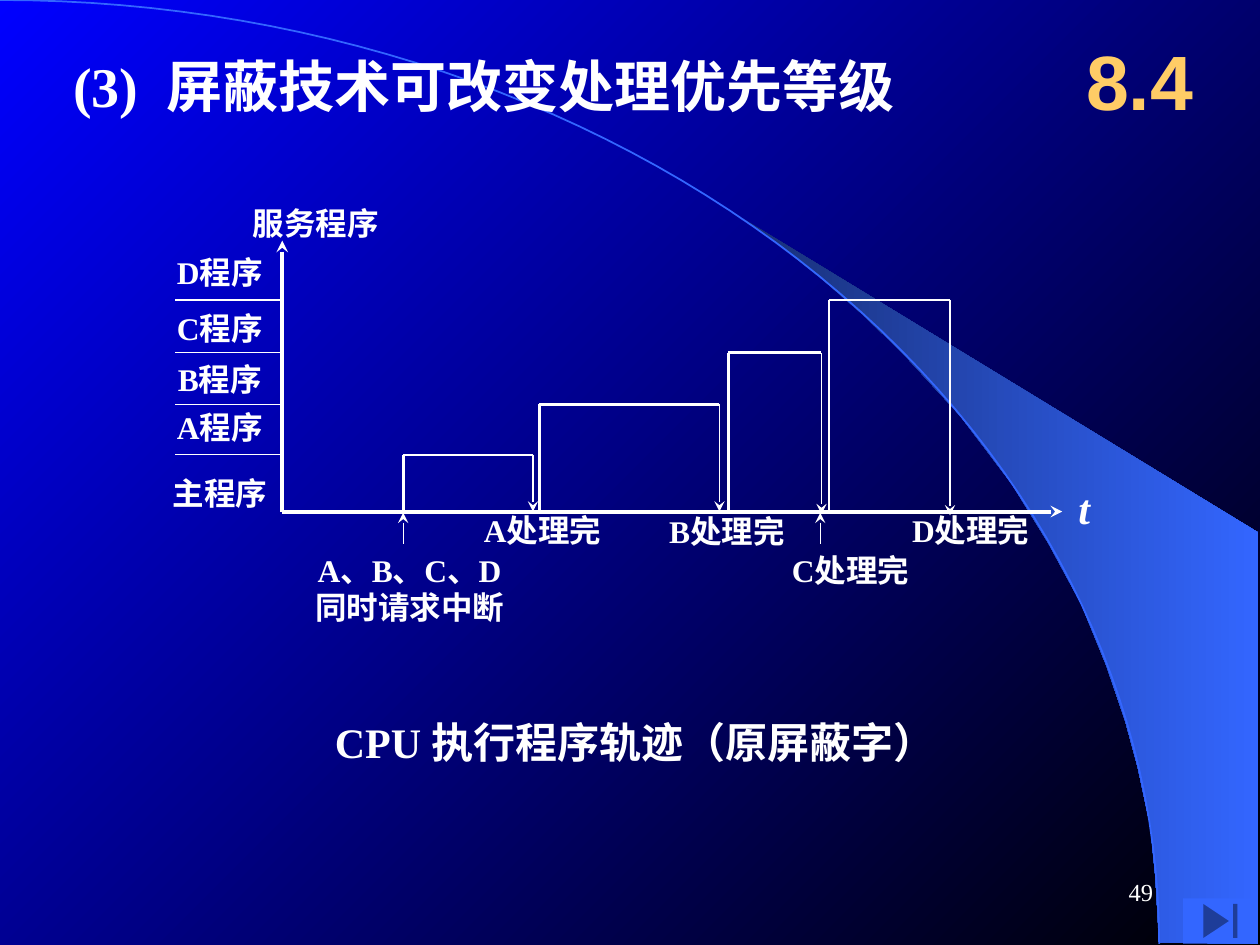
import math
from dataclasses import dataclass

from lxml import etree
from pptx import Presentation, util as u
from pptx.dml.color import RGBColor
from pptx.enum import shapes, text
from pptx.oxml import ns

WHITE = RGBColor(0xFF, 0xFF, 0xFF)
GOLD = RGBColor(0xFF, 0xCC, 0x66)
SKY = RGBColor(0x33, 0x66, 0xFF)
NAVY = RGBColor(0x18, 0x2F, 0x76)
BLUE = RGBColor(0x00, 0x00, 0xFF)
BLACK = RGBColor(0x00, 0x00, 0x00)

LEFT, MID, RIGHT = text.PP_ALIGN.LEFT, text.PP_ALIGN.CENTER, text.PP_ALIGN.RIGHT
TOP, CENTER = text.MSO_ANCHOR.TOP, text.MSO_ANCHOR.MIDDLE
BASE = 4.06   # height of the time axis
AXIS = 2.24   # place of the program axis
SERIF = "Times New Roman"


@dataclass
class Label:
    words: str
    x: float
    y: float
    w: float
    h: float
    size: int = 18
    align: text.PP_ALIGN = MID
    anchor: text.MSO_ANCHOR = TOP
    inset: bool = False
    wrap: bool = True
    face: str = SERIF
    color: RGBColor = WHITE
    bold: bool = True
    slant: bool = False


@dataclass
class Step:
    left: float
    right: float
    top: float
    end: float
    drop: float  # weight of the falling arrow


def add_label(slide, label: Label) -> None:
    box = slide.shapes.add_textbox(*map(u.Inches, (label.x, label.y, label.w, label.h)))
    frame = box.text_frame
    side, edge = (u.Inches(0.1), u.Inches(0.05)) if label.inset else (0, 0)
    form = {"word_wrap": label.wrap, "vertical_anchor": label.anchor,
            "margin_left": side, "margin_right": side,
            "margin_top": edge, "margin_bottom": edge}
    for key, value in form.items():
        setattr(frame, key, value)
    frame.text = label.words
    style = {"name": label.face, "size": u.Pt(label.size),
             "bold": label.bold, "italic": label.slant}
    for para in frame.paragraphs:
        para.alignment = label.align
        for run in para.runs:
            for key, value in style.items():
                setattr(run.font, key, value)
            run.font.color.rgb = label.color


def add_line(slide, x1: float, y1: float, x2: float, y2: float,
             weight: float, arrow: str = "") -> None:
    """Draw a white line; arrow is "headEnd", "tailEnd" or nothing."""
    line = slide.shapes.add_connector(
        shapes.MSO_CONNECTOR.STRAIGHT, *map(u.Inches, (x1, y1, x2, y2)))
    line.line.color.rgb = WHITE
    line.line.width = u.Pt(weight)
    if arrow:
        tip = etree.SubElement(line.line._get_or_add_ln(), ns.qn(f"a:{arrow}"))
        tip.set("type", "stealth")
    etree.SubElement(line._element.spPr, ns.qn("a:effectLst"))


def add_path(slide, points: list[tuple[float, float]], closed: bool):
    spots = [(u.Inches(x), u.Inches(y)) for x, y in points]
    path = slide.shapes.build_freeform(*spots[0], scale=1.0)
    path.add_line_segments(spots[1:], close=closed)
    shape = path.convert_to_shape()
    shape.shadow.inherit = False
    return shape


def blend(fill, first: RGBColor, last: RGBColor, angle: int) -> None:
    fill.gradient()
    fill.gradient_angle = angle
    for stop, color, place in zip(fill.gradient_stops, (first, last), (0, 1)):
        stop.color.rgb = color
        stop.position = place


def add_step(slide, step: Step) -> None:
    add_line(slide, step.left, step.top, step.left, BASE, 1.5)
    add_line(slide, step.left, step.top, step.right, step.top, 1.5)
    add_line(slide, step.right, step.top, step.right, step.end, step.drop, "tailEnd")


BEAM = [(9.2, 7.48), (9.99, 7.49), (9.99, 4.23), (5.89, 1.73), (6.24, 1.99),
        (6.53, 2.22), (6.85, 2.5), (7.16, 2.8), (7.62, 3.3), (8.03, 3.84),
        (8.32, 4.31), (8.58, 4.79), (8.78, 5.28), (8.93, 5.72), (9.03, 6.09),
        (9.13, 6.56), (9.17, 6.96)]

STEPS = [Step(3.2, 4.23, 3.61, 4.06, 1.5), Step(4.28, 5.71, 3.21, 4.06, 1),
         Step(5.78, 6.52, 2.8, 4.08, 1), Step(6.58, 7.54, 2.38, 4.09, 1.5)]

ROWS = [("主程序", 3.76), ("A程序", 3.24), ("B程序", 2.86),
        ("C程序", 2.45), ("D程序", 2.01)]

LABELS = [
    Label("(3)  屏蔽技术可改变处理优先等级", 0.58, 0.44, 7.25, 0.47, 32, LEFT,
          CENTER, wrap=False),
    Label("8.4", 8.42, 0.17, 1.25, 0.92, 44, MID, CENTER, True,
          face="Arial", color=GOLD),
    Label("服务程序", 1.82, 1.62, 1.37, 0.38),
    Label("A处理完", 3.76, 4.06, 1.09, 0.36),
    Label("B处理完", 5.16, 4.06, 1.22, 0.32),
    Label("C处理完", 6.15, 4.37, 1.2, 0.35),
    Label("D处理完", 7.16, 4.06, 1.09, 0.36),
    Label("t", 8.35, 3.83, 0.51, 0.37, 24, slant=True),
    Label("A、B、C、D\n同时请求中断", 2.49, 4.37, 1.52, 0.57),
    Label("CPU 执行程序轨迹（原屏蔽字）", 2.56, 5.64, 5.67, 0.5, 24, LEFT, inset=True),
    Label("49", 7.17, 6.83, 2.08, 0.5, 14, RIGHT, CENTER, True, bold=False),
]
LABELS += [Label(name, 1.3, y, 0.89, 0.37) for name, y in ROWS]


def main() -> None:
    deck = Presentation()
    deck.slide_width, deck.slide_height = u.Inches(10), u.Inches(7.5)
    slide = deck.slides.add_slide(deck.slide_layouts[6])

    # Backdrop: gradient, beam and quarter ellipse
    blend(slide.background.fill, BLUE, BLACK, 315)
    beam = add_path(slide, BEAM, True)
    blend(beam.fill, NAVY, SKY, 0)
    beam.line.fill.background()
    turns = [math.pi / 2 * i / 60 for i in range(61)]
    arc = add_path(slide, [(9.2 * math.sin(a), 7.49 * (1 - math.cos(a)))
                           for a in turns], False)
    arc.fill.background()
    arc.line.color.rgb = SKY
    arc.line.width = u.Pt(1)

    # Axes
    add_line(slide, AXIS, BASE, 8.43, BASE, 2.25, "tailEnd")
    add_line(slide, AXIS, 1.91, AXIS, BASE, 2.25, "headEnd")

    # Levels and the trace of each program
    for step in STEPS:
        add_line(slide, 1.39, step.top, AXIS, step.top, 0.75)
        add_step(slide, step)

    # Pointers below the time axis
    for x in (3.2, 6.51):
        add_line(slide, x, 4.07, x, 4.32, 0.75, "headEnd")

    # Wording
    for label in LABELS:
        add_label(slide, label)

    # Button in the corner
    button = slide.shapes.add_shape(shapes.MSO_SHAPE.ACTION_BUTTON_END,
                                    *map(u.Inches, (9.39, 7.13, 0.59, 0.36)))
    button.shadow.inherit = False
    button.fill.solid()
    button.fill.fore_color.rgb = SKY
    button.line.fill.background()

    deck.save("out.pptx")


if __name__ == "__main__":
    main()
